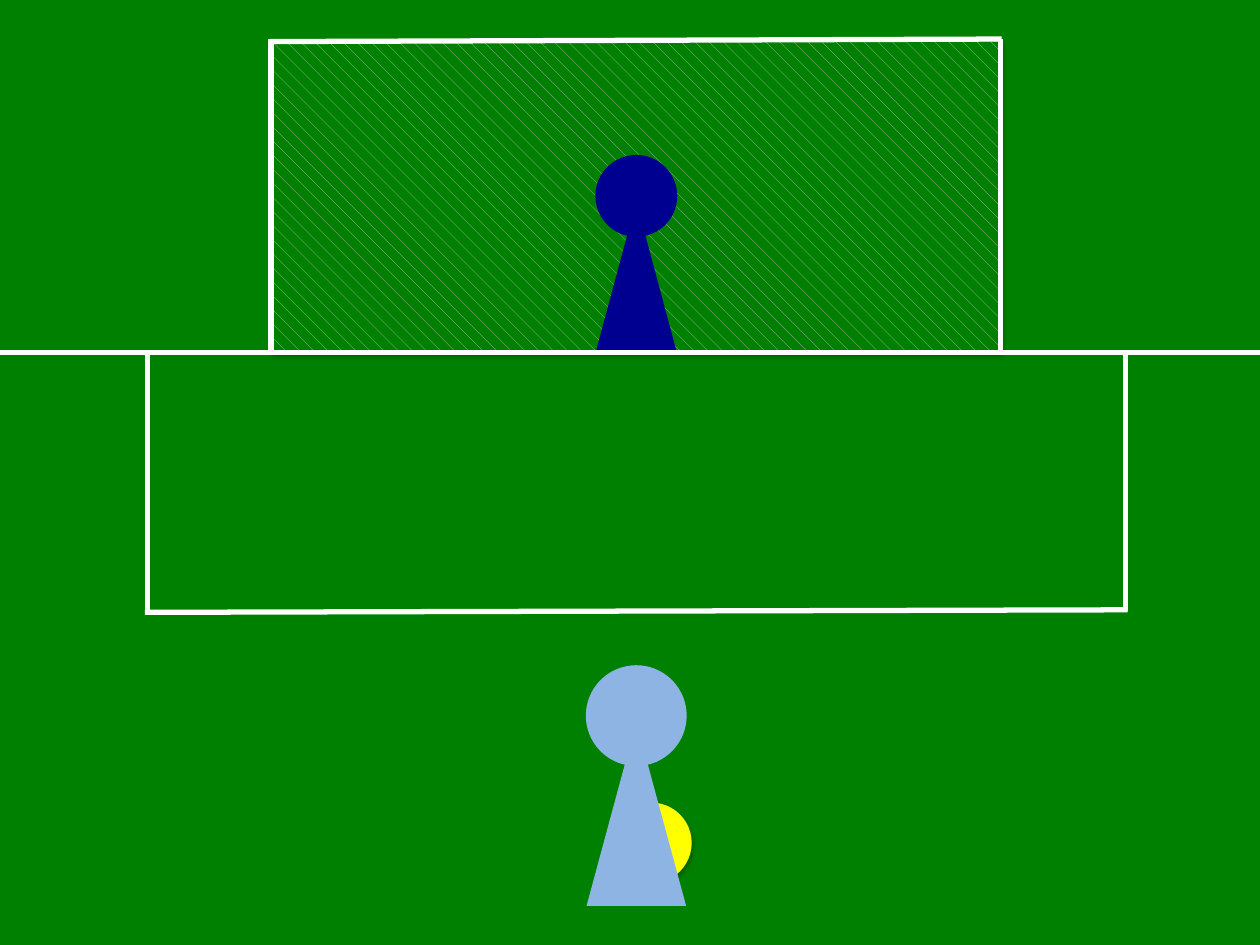
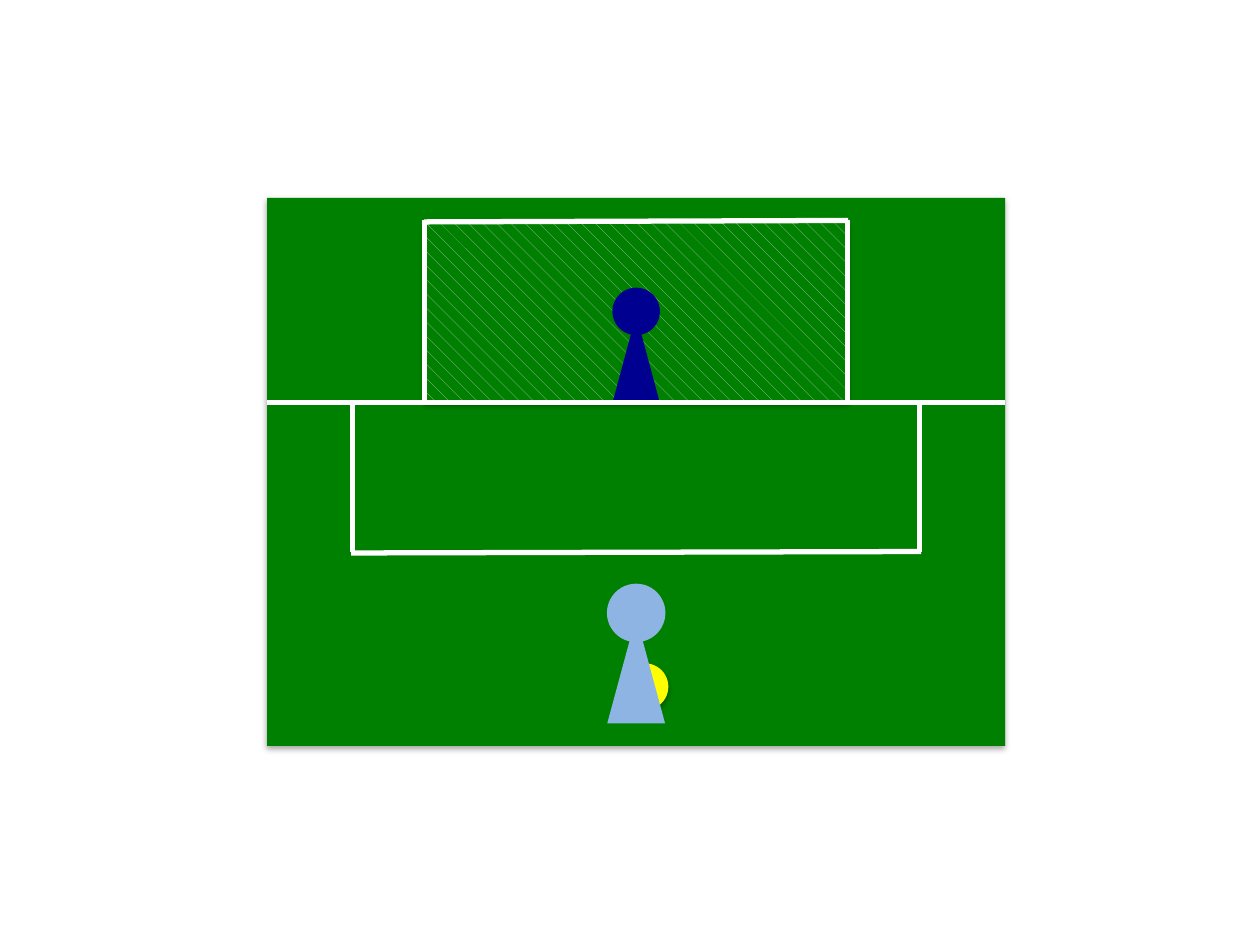
from lxml import etree
from pptx import Presentation
from pptx.dml.color import RGBColor
from pptx.enum import dml, shapes
from pptx.oxml.ns import qn
from pptx.util import Inches, Pt

GRASS, CHALK, NET, NET_EDGE = "008000", "FFFFFF", "BFBFBF", "4B7EBC"
KEEPER, STRIKER, BALL = "000090", "8EB4E3", "FFFF00"
SHAPE = shapes.MSO_SHAPE


def rgb(hex_string):
    return RGBColor.from_string(hex_string)


class Pitch:
    """Draws a penalty scene in one group, scaled and moved as a whole."""

    def __init__(self, prs, left=0, top=0, scale=1):
        self.slide = prs.slides.add_slide(prs.slide_layouts[6])
        self.left, self.top, self.scale = left, top, scale
        self.group = self.slide.shapes.add_group_shape().shapes

    def point(self, x, y):
        return (Inches(self.left + x * self.scale),
                Inches(self.top + y * self.scale))

    def shape(self, kind, x, y, w, h, color, shadow=False):
        sp = self.group.add_shape(kind, *self.point(x, y),
                                  Inches(w * self.scale), Inches(h * self.scale))
        sp.fill.solid()
        sp.fill.fore_color.rgb = rgb(color)
        sp.line.fill.background()
        sp.shadow.inherit = False
        if shadow:
            self.add_shadow(sp)
        return sp

    def add_shadow(self, sp):
        effects = sp.element.spPr.find(qn("a:effectLst"))
        outer = etree.SubElement(effects, qn("a:outerShdw"), blurRad=str(Pt(3.1)),
                                 dist=str(Pt(1.8)), dir="5400000", rotWithShape="0")
        color = etree.SubElement(outer, qn("a:srgbClr"), val="000000")
        etree.SubElement(color, qn("a:alpha"), val="35000")

    def net(self, x, y, w, h):
        sp = self.shape(SHAPE.RECTANGLE, x, y, w, h, GRASS, shadow=True)
        sp.fill.patterned()
        sp.fill.pattern = dml.MSO_PATTERN.SHINGLE
        sp.fill.fore_color.rgb = rgb(NET)
        sp.fill.back_color.rgb = rgb(GRASS)
        sp.line.color.rgb = rgb(NET_EDGE)
        sp.line.width = Pt(0.75)

    def line(self, x1, y1, x2, y2):
        cx = self.group.add_connector(shapes.MSO_CONNECTOR.STRAIGHT,
                                      *self.point(x1, y1), *self.point(x2, y2))
        cx.line.color.rgb = rgb(CHALK)
        cx.line.width = Pt(3)
        etree.SubElement(cx.element.spPr, qn("a:effectLst"))

    def player(self, center, top, head, body_top, body_w, body_h, color):
        self.shape(SHAPE.ISOSCELES_TRIANGLE, center - body_w / 2, body_top,
                   body_w, body_h, color)
        self.shape(SHAPE.OVAL, center - head / 2, top, head, head, color)

    def draw(self):
        # Grass and goal
        self.shape(SHAPE.RECTANGLE, 0, 0, 10.1, 7.5, GRASS, shadow=True)
        self.net(2.16, 0.33, 5.78, 2.45)
        self.line(7.94, 0.31, 7.94, 2.78)
        self.line(2.15, 0.33, 7.95, 0.31)
        self.line(2.15, 0.31, 2.15, 2.78)
        self.player(5.05, 1.23, 0.65, 1.6, 0.64, 1.19, KEEPER)

        # Goal line and penalty area
        self.line(0, 2.8, 10.1, 2.8)
        self.line(1.15, 4.86, 8.95, 4.84)
        for side in (1.17, 8.93):
            self.line(side, 2.78, side, 4.85)

        # Ball and striker
        self.shape(SHAPE.OVAL, 4.85, 6.37, 0.64, 0.64, BALL, shadow=True)
        self.player(5.05, 5.28, 0.8, 5.73, 0.79, 1.46, STRIKER)


def main():
    prs = Presentation()
    prs.slide_width, prs.slide_height = Inches(10), Inches(7.5)
    Pitch(prs).draw()
    Pitch(prs, left=2.12, top=1.57, scale=0.58).draw()
    prs.save("out.pptx")


if __name__ == "__main__":
    main()
